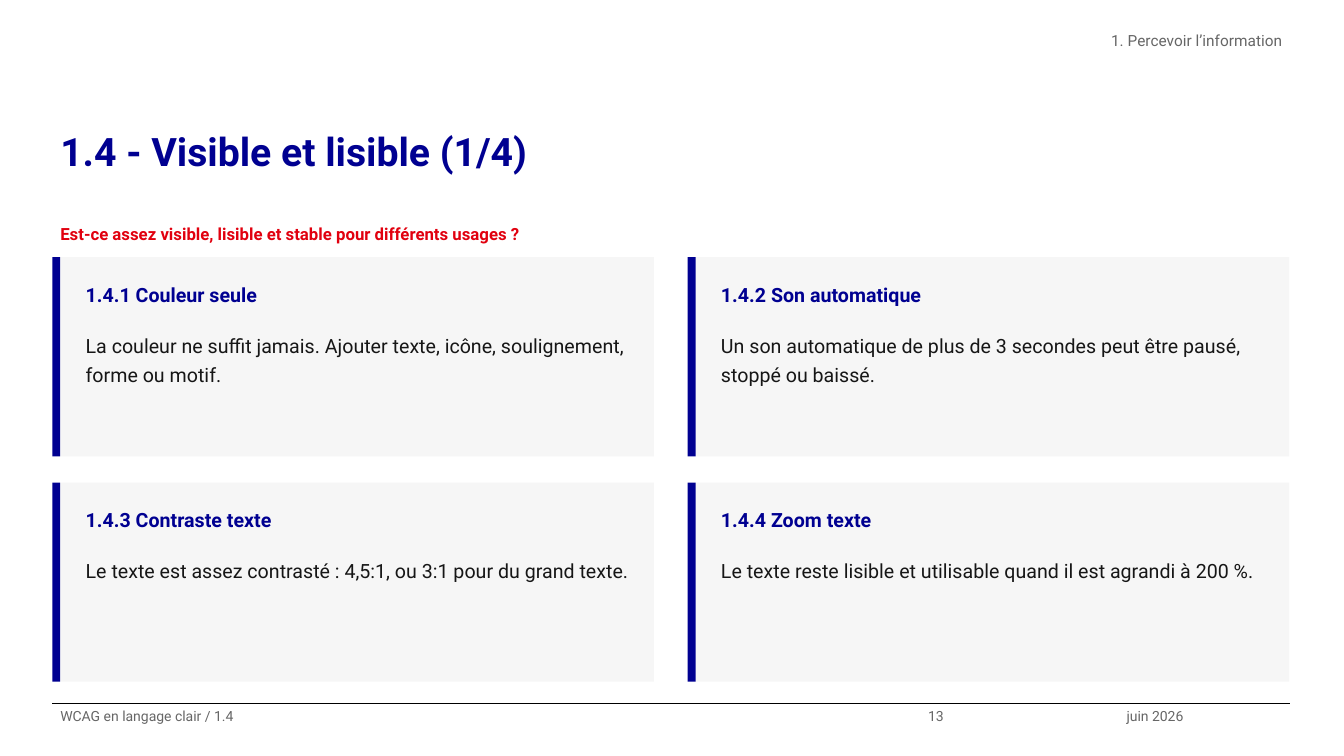
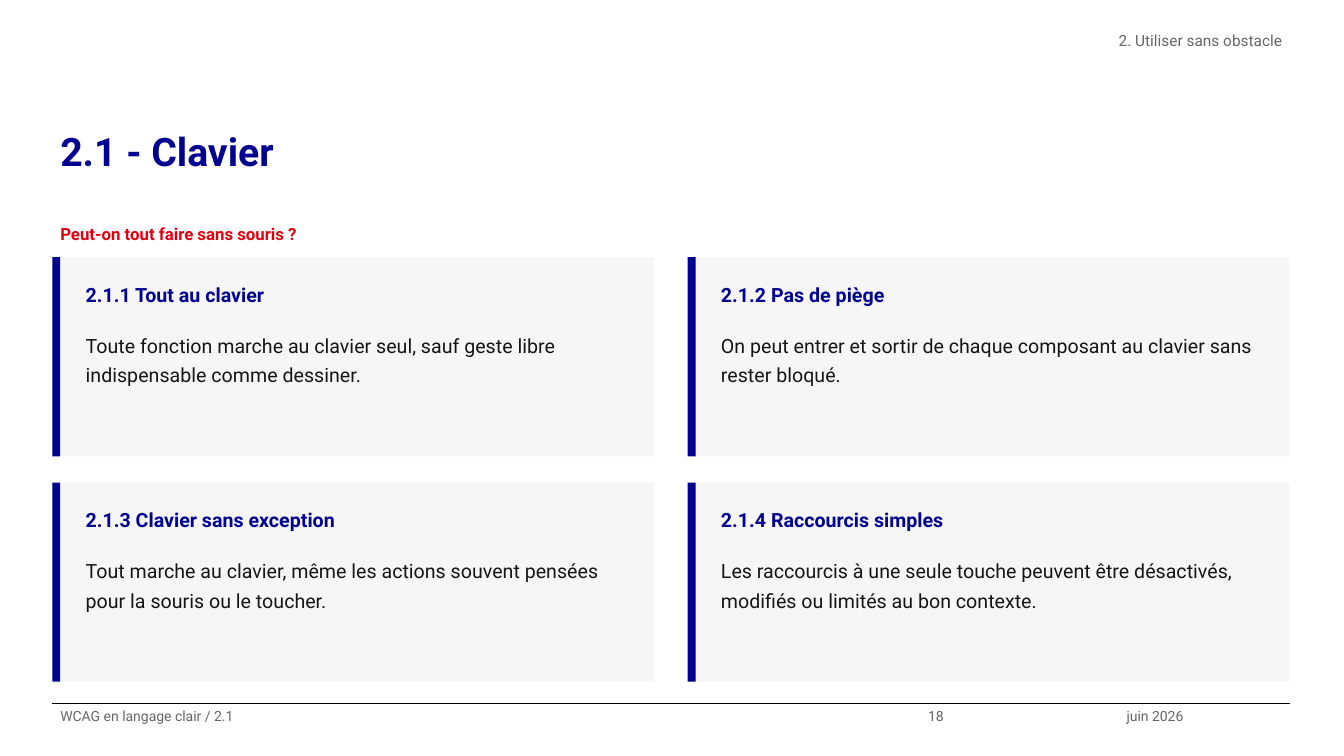
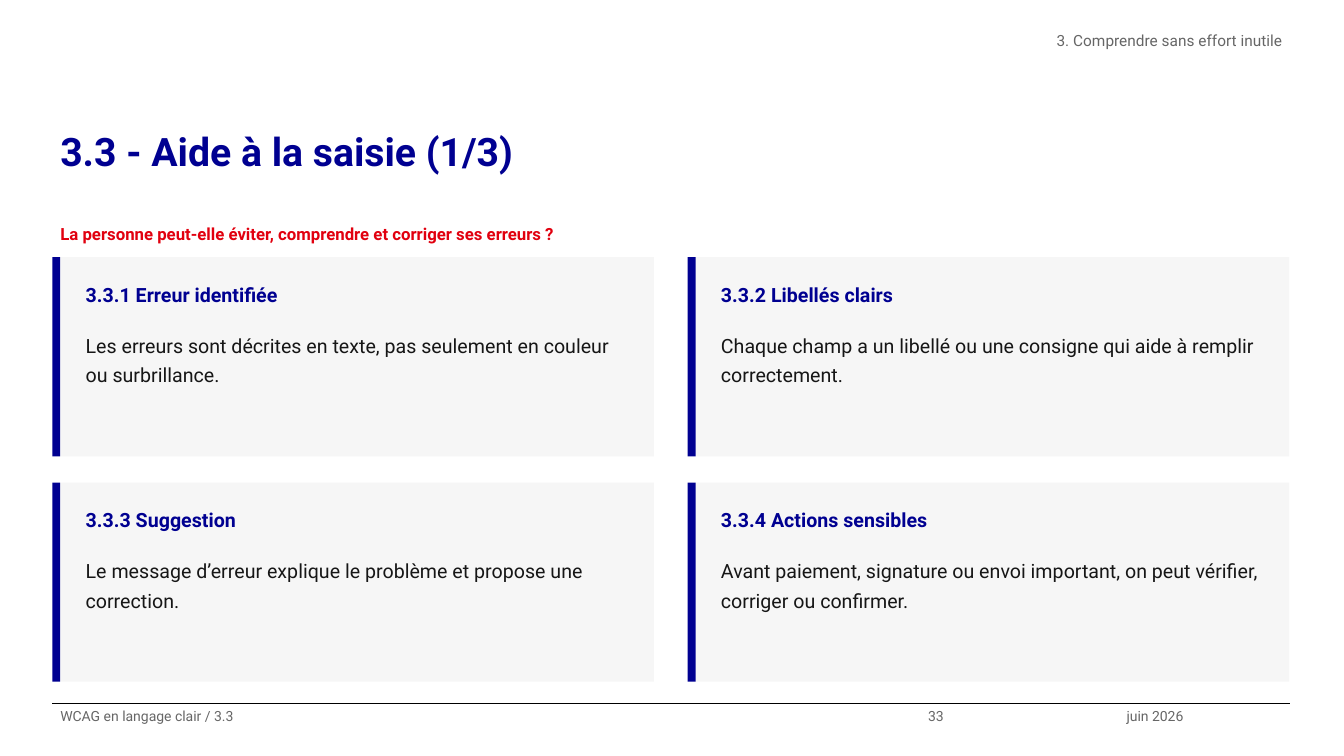
"""Build three WCAG slides, each with four cards of plain-language criteria."""
from typing import Any, NamedTuple

import lxml.etree
import pptx
import pptx.dml.color
import pptx.enum.shapes
import pptx.enum.text
import pptx.oxml.ns
import pptx.util

Cm = pptx.util.Cm
RGBColor = pptx.dml.color.RGBColor
Align = pptx.enum.text.PP_ALIGN
Fit = pptx.enum.text.MSO_AUTO_SIZE

BLUE = RGBColor(0x00, 0x00, 0x91)
RED = RGBColor(0xE1, 0x00, 0x0F)
GREY = RGBColor(0x66, 0x66, 0x66)
INK = RGBColor(0x16, 0x16, 0x16)
PALE = RGBColor(0xF6, 0xF6, 0xF6)
BLACK = RGBColor(0x00, 0x00, 0x00)
FONT = "Roboto"

LEFT, WIDTH = 1.32, 31.2
TOP = 6.48
STEP_X, STEP_Y = 16.01, 5.68
CARD_W, CARD_H = 15.16, 5.02
BAR = 0.2
PAD = 0.64
FOOT = 17.73


class Box(NamedTuple):
    """Place and size in centimetres."""
    left: float
    top: float
    width: float
    height: float


class Style(NamedTuple):
    """Look of one kind of text."""
    size: int
    color: RGBColor
    bold: bool = False
    inset: float = 0
    fit: Any = Fit.NONE
    align: Any = Align.LEFT


class Card(NamedTuple):
    """One criterion and its meaning."""
    head: str
    text: str


class Page(NamedTuple):
    """Content of one slide."""
    topic: str
    code: str
    name: str
    number: int
    query: str
    cards: tuple[Card, ...]


TITLE = Style(28, BLUE, True)
TOPIC = Style(11, GREY, align=Align.RIGHT)
NOTE = Style(10, GREY)
QUERY = Style(12, RED, True, 0.13, Fit.SHAPE_TO_FIT_TEXT)
HEAD = Style(14, BLUE, True, 0.13, Fit.SHAPE_TO_FIT_TEXT)
TEXT = Style(14, INK, False, 0.13, Fit.SHAPE_TO_FIT_TEXT)

PAGES = (
    Page("1. Percevoir l’information", "1.4", "Visible et lisible (1/4)", 13,
         "Est-ce assez visible, lisible et stable pour différents usages ?", (
             Card("Couleur seule", "La couleur ne suffit jamais. Ajouter texte, icône, "
                  "soulignement, forme ou motif."),
             Card("Son automatique", "Un son automatique de plus de 3 secondes peut être "
                  "pausé, stoppé ou baissé."),
             Card("Contraste texte", "Le texte est assez contrasté : 4,5:1, ou 3:1 pour "
                  "du grand texte."),
             Card("Zoom texte", "Le texte reste lisible et utilisable quand il est "
                  "agrandi à 200 %."))),
    Page("2. Utiliser sans obstacle", "2.1", "Clavier", 18,
         "Peut-on tout faire sans souris ?", (
             Card("Tout au clavier", "Toute fonction marche au clavier seul, sauf geste "
                  "libre indispensable comme dessiner."),
             Card("Pas de piège", "On peut entrer et sortir de chaque composant au "
                  "clavier sans rester bloqué."),
             Card("Clavier sans exception", "Tout marche au clavier, même les actions "
                  "souvent pensées pour la souris ou le toucher."),
             Card("Raccourcis simples", "Les raccourcis à une seule touche peuvent être "
                  "désactivés, modifiés ou limités au bon contexte."))),
    Page("3. Comprendre sans effort inutile", "3.3", "Aide à la saisie (1/3)", 33,
         "La personne peut-elle éviter, comprendre et corriger ses erreurs ?", (
             Card("Erreur identifiée", "Les erreurs sont décrites en texte, pas seulement "
                  "en couleur ou surbrillance."),
             Card("Libellés clairs", "Chaque champ a un libellé ou une consigne qui aide "
                  "à remplir correctement."),
             Card("Suggestion", "Le message d’erreur explique le problème et propose une "
                  "correction."),
             Card("Actions sensibles", "Avant paiement, signature ou envoi important, on "
                  "peut vérifier, corriger ou confirmer."))),
)


def write(shape: Any, box: Box, text: str, style: Style) -> None:
    """Place a shape and fill it with styled text."""
    shape.left, shape.top, shape.width, shape.height = map(Cm, box)
    frame = shape.text_frame
    frame.text = text
    frame.word_wrap = True
    frame.auto_size = style.fit
    frame.vertical_anchor = pptx.enum.text.MSO_ANCHOR.TOP
    frame.margin_left = frame.margin_right = Cm(0.2)
    frame.margin_top = frame.margin_bottom = Cm(style.inset)
    para = frame.paragraphs[0]
    para.alignment = style.align
    para.line_spacing = 1.25
    para.space_before = pptx.util.Pt(0)
    font = para.runs[0].font
    font.name = FONT
    font.size = pptx.util.Pt(style.size)
    font.bold = style.bold
    font.color.rgb = style.color


def label(slide: Any, box: Box, text: str, style: Style) -> None:
    """Add a text box."""
    write(slide.shapes.add_textbox(*map(Cm, box)), box, text, style)


def block(slide: Any, box: Box, color: RGBColor) -> None:
    """Add a plain filled rectangle."""
    shape = slide.shapes.add_shape(pptx.enum.shapes.MSO_SHAPE.RECTANGLE, *map(Cm, box))
    shape.shadow.inherit = False
    shape.fill.solid()
    shape.fill.fore_color.rgb = color
    shape.line.fill.background()


def unmark(shape: Any) -> None:
    """Remove the bullet and indent of a placeholder's first paragraph."""
    props = shape.text_frame.paragraphs[0]._p.get_or_add_pPr()
    props.set("marL", "0")
    props.set("indent", "0")
    lxml.etree.SubElement(props, pptx.oxml.ns.qn("a:buNone"))


def footer(slide: Any, page: Page) -> None:
    """Draw the rule and the three footer texts."""
    line = slide.shapes.add_connector(
        pptx.enum.shapes.MSO_CONNECTOR.STRAIGHT,
        Cm(LEFT), Cm(FOOT), Cm(LEFT + WIDTH), Cm(FOOT))
    line.line.color.rgb = BLACK
    line.line.width = pptx.util.Pt(0.8)
    lxml.etree.SubElement(line._element.spPr, pptx.oxml.ns.qn("a:effectLst"))
    left = LEFT
    for text, width in ((f"WCAG en langage clair / {page.code}", 21.87),
                        (str(page.number), 5), ("juin 2026", 4.33)):
        label(slide, Box(left, FOOT, width, 1.32), text, NOTE)
        left += width


def panel(slide: Any, rank: int, code: str, card: Card) -> None:
    """Draw one card at its place in the two-column grid."""
    row, col = divmod(rank, 2)
    left, top = LEFT + col * STEP_X, TOP + row * STEP_Y
    block(slide, Box(left + BAR, top, CARD_W - BAR, CARD_H), PALE)
    block(slide, Box(left, top, BAR, CARD_H), BLUE)
    width = CARD_W - PAD - 0.37
    label(slide, Box(left + PAD, top + 0.37, width, 1.14),
          f"{code}.{rank + 1} {card.head}", HEAD)
    label(slide, Box(left + PAD, top + 1.65, width, 2.99), card.text, TEXT)


def build(deck: Any, page: Page) -> None:
    """Add one slide."""
    slide = deck.slides.add_slide(deck.slide_layouts[1])
    write(slide.shapes.title, Box(LEFT, 2.92, WIDTH, 2.67),
          f"{page.code} - {page.name}", TITLE)
    topic = slide.placeholders[1]
    write(topic, Box(12.26, 0.66, 20.26, 1.32), page.topic, TOPIC)
    unmark(topic)
    label(slide, Box(LEFT, 5.38, WIDTH, 0.71), page.query, QUERY)
    for rank, card in enumerate(page.cards):
        panel(slide, rank, page.code, card)
    footer(slide, page)


def main() -> None:
    """Build and save the deck."""
    deck = pptx.Presentation()
    deck.slide_width, deck.slide_height = Cm(33.87), Cm(19.05)
    for page in PAGES:
        build(deck, page)
    deck.save("out.pptx")


if __name__ == "__main__":
    main()
